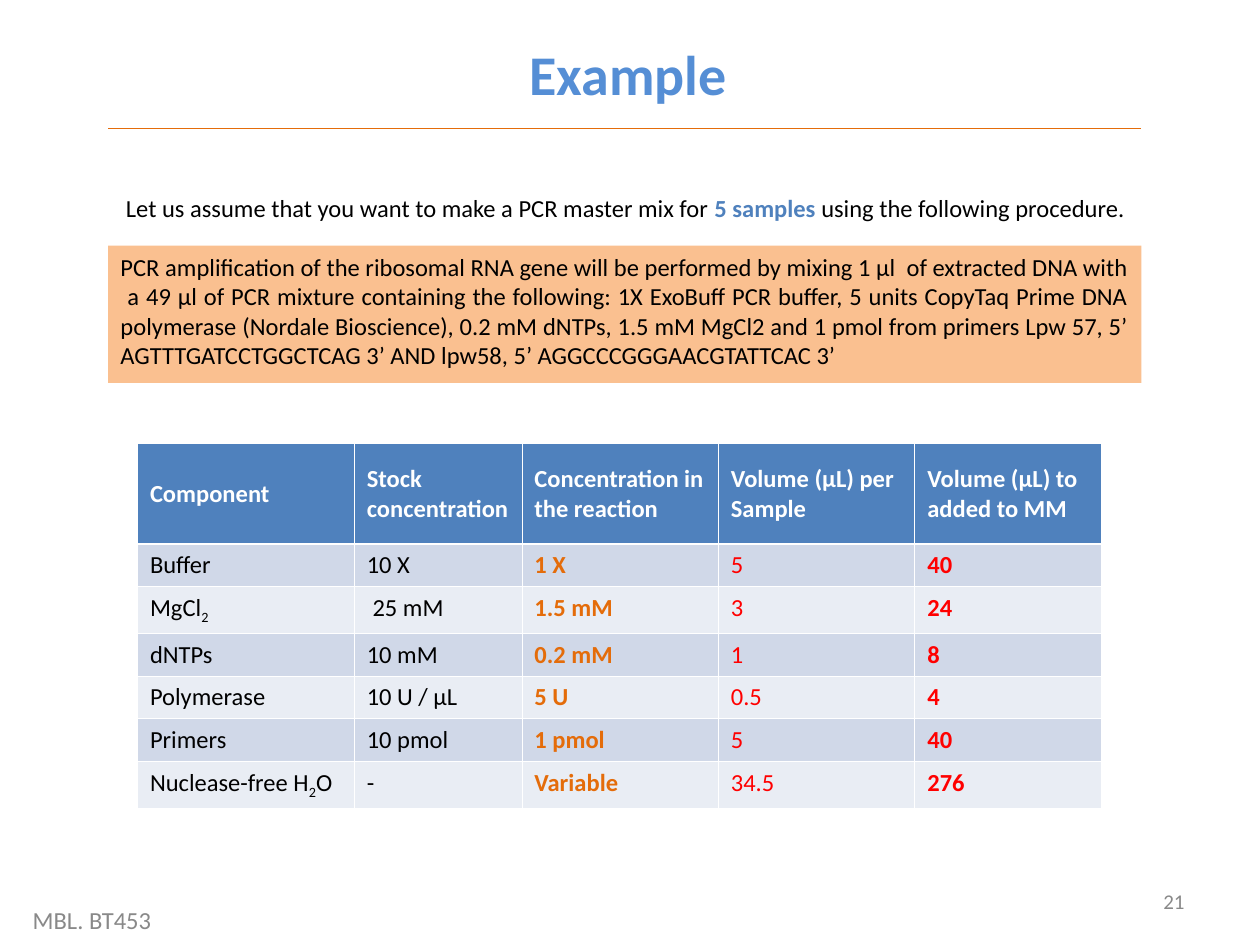
from lxml.etree import SubElement
from pptx import Presentation
from pptx.dml.color import RGBColor
from pptx.enum.shapes import MSO_CONNECTOR, MSO_SHAPE
from pptx.enum.text import MSO_ANCHOR as Anchor, MSO_AUTO_SIZE as AutoSize, PP_ALIGN as Align
from pptx.oxml.ns import qn
from pptx.util import Cm, Pt

BLACK = RGBColor(0x00, 0x00, 0x00)
WHITE = RGBColor(0xFF, 0xFF, 0xFF)
GREY = RGBColor(0x89, 0x89, 0x89)
SKY = RGBColor(0x55, 0x8E, 0xD5)
BLUE = RGBColor(0x4F, 0x81, 0xBD)
ORANGE = RGBColor(0xE4, 0x6C, 0x0A)
PEACH = RGBColor(0xFA, 0xC0, 0x90)
RED = RGBColor(0xFF, 0x00, 0x00)
BAND_DARK = RGBColor(0xD0, 0xD8, 0xE8)
BAND_LIGHT = RGBColor(0xE9, 0xED, 0xF4)


def add_run(p, text, color, size=14, bold=False, subscript=False):
    r = p.add_run()
    r.text = text
    for name, value in {"name": "Calibri", "size": Pt(size), "bold": bold}.items():
        setattr(r.font, name, value)
    r.font.color.rgb = color
    if subscript:
        r.font._element.set("baseline", "-25000")


def add_border(cell, side, width):
    ln = SubElement(cell._tc.get_or_add_tcPr(), qn(f"a:ln{side}"), w=str(Pt(width)))
    fill = SubElement(ln, qn("a:solidFill"))
    SubElement(fill, qn("a:srgbClr"), val=str(WHITE))


prs = Presentation()
prs.slide_width, prs.slide_height = Cm(25.4), Cm(19.05)
s = prs.slides.add_slide(prs.slide_layouts[5])

title = s.shapes.title
for name, value in {"left": 2.29, "top": 0.79, "width": 20.75, "height": 1.35}.items():
    setattr(title, name, Cm(value))
tf = title.text_frame
for name, value in {"auto_size": AutoSize.NONE, "vertical_anchor": Anchor.MIDDLE}.items():
    setattr(tf, name, value)
tf.paragraphs[0].alignment = Align.CENTER
add_run(tf.paragraphs[0], "Example", SKY, size=32, bold=True)

left, width = 2.18, 20.83
rule = s.shapes.add_connector(
    MSO_CONNECTOR.STRAIGHT, Cm(left), Cm(2.59), Cm(left + width), Cm(2.59))
rule.line.color.rgb = ORANGE
rule.line.width = Pt(0.75)
SubElement(rule._element.spPr, qn("a:effectLst"))

panel = s.shapes.add_shape(MSO_SHAPE.RECTANGLE, Cm(left), Cm(4.95), Cm(width), Cm(2.77))
panel.shadow.inherit = False
panel.fill.solid()
panel.fill.fore_color.rgb = PEACH
panel.line.fill.background()

tf = s.shapes.add_textbox(Cm(left), Cm(3.76), Cm(width), Cm(5)).text_frame
tf.word_wrap = True
p = tf.paragraphs[0]
p._p.get_or_add_pPr().set("indent", str(Cm(0.11)))
add_run(p, "Let us assume that you want to make a PCR master mix for ", BLACK)
add_run(p, "5 samples ", BLUE, bold=True)
add_run(p, "using the following procedure.", BLACK)
p = tf.add_paragraph()
p.alignment = Align.JUSTIFY
p.space_before = Pt(17)
add_run(p, "PCR amplification of the ribosomal RNA gene will be performed by mixing 1 μl  of "
           "extracted DNA with  a 49 μl of PCR mixture containing the following: 1X ExoBuff PCR "
           "buffer, 5 units CopyTaq Prime DNA polymerase (Nordale Bioscience), 0.2 mM dNTPs, "
           "1.5 mM MgCl2 and 1 pmol from primers Lpw 57, 5’ AGTTTGATCCTGGCTCAG 3’ AND lpw58, "
           "5’ AGGCCCGGGAACGTATTCAC 3’", BLACK)

rows = [
    ["Component", "Stock concentration", "Concentration in the reaction",
     "Volume (µL) per Sample", "Volume (µL) to added to MM"],
    ["Buffer", "10 X", "1 X", "5", "40"],
    [("MgCl", "2"), "25 mM", "1.5 mM", "3", "24"],
    ["dNTPs", "10 mM", "0.2 mM", "1", "8"],
    ["Polymerase", "10 U / µL", "5 U", "0.5", "4"],
    ["Primers", "10 pmol", "1 pmol", "5", "40"],
    [("Nuclease-free H", "2", "O"), "-", "Variable", "34.5", "276"],
]
col_widths = [4.37, 3.38, 3.96, 3.96, 3.76]
row_heights = [2.03, 0.86, 0.94, 0.86, 0.86, 0.86, 0.94]
col_formats = [(BLACK, False), (BLACK, False), (ORANGE, True), (RED, False), (RED, True)]

table = s.shapes.add_table(len(rows), len(col_widths), Cm(2.77), Cm(8.94),
                           Cm(sum(col_widths)), Cm(sum(row_heights))).table
for col, w in zip(table.columns, col_widths):
    col.width = Cm(w)
for i, (values, h) in enumerate(zip(rows, row_heights)):
    table.rows[i].height = Cm(h)
    for j, value in enumerate(values):
        cell = table.cell(i, j)
        color, bold = col_formats[j] if i else (WHITE, True)
        cell.vertical_anchor = Anchor.TOP if i else Anchor.MIDDLE
        for side in "LRTB":
            heavy = (i, side) in [(0, "B"), (1, "T")]
            add_border(cell, side, 1.47 if heavy else 0.45)
        cell.fill.solid()
        cell.fill.fore_color.rgb = (BAND_DARK if i % 2 else BAND_LIGHT) if i else BLUE
        parts = value if isinstance(value, tuple) else (value,)
        for k, text in enumerate(parts):
            add_run(cell.text_frame.paragraphs[0], text, color, bold=bold, subscript=k == 1)
table.cell(2, 1).margin_left = Cm(0.37)

footers = [
    ("21", 18.21, 17.65, 5.92, 12, Align.RIGHT),
    ("MBL. BT453", 0.41, 18.03, 8.89, 14, Align.LEFT),
]
for text, x, y, w, size, align in footers:
    tf = s.shapes.add_textbox(Cm(x), Cm(y), Cm(w), Cm(1.02)).text_frame
    for name, value in {"word_wrap": True, "vertical_anchor": Anchor.MIDDLE}.items():
        setattr(tf, name, value)
    tf.paragraphs[0].alignment = align
    add_run(tf.paragraphs[0], text, GREY, size=size)

prs.save("out.pptx")
